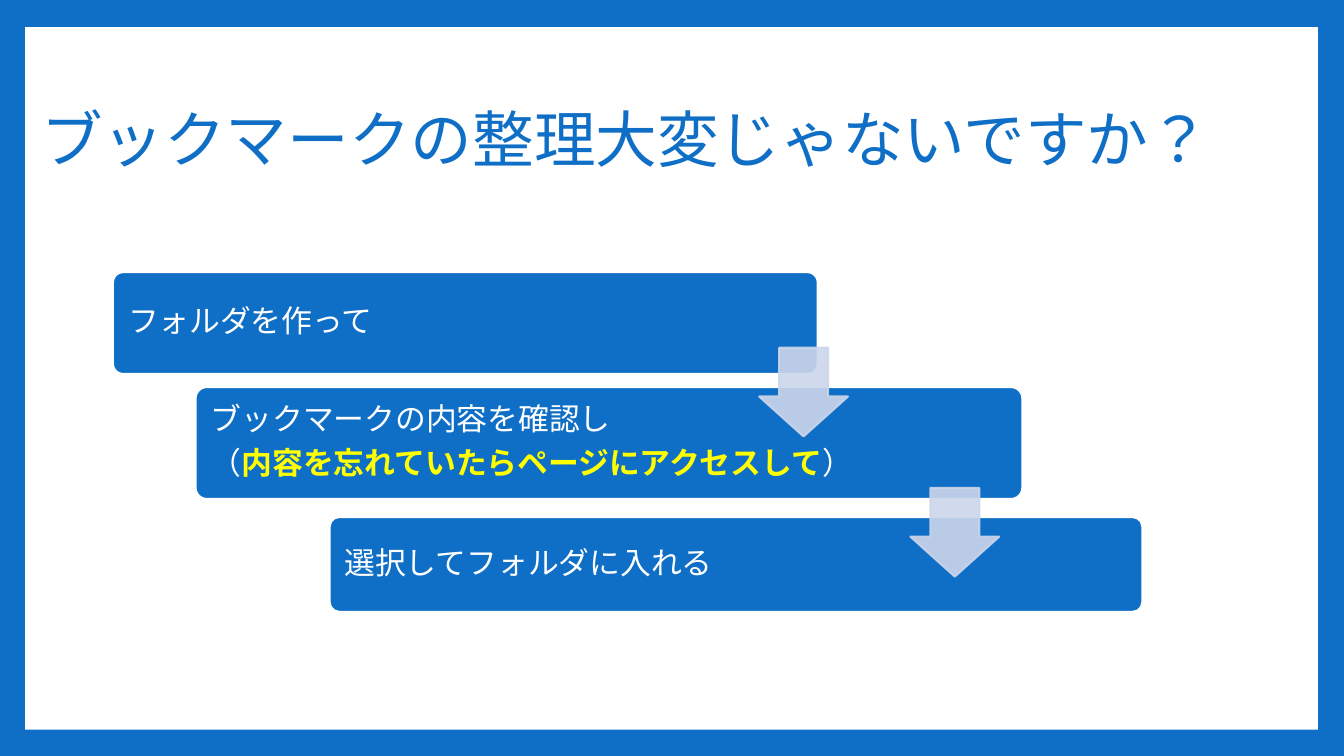
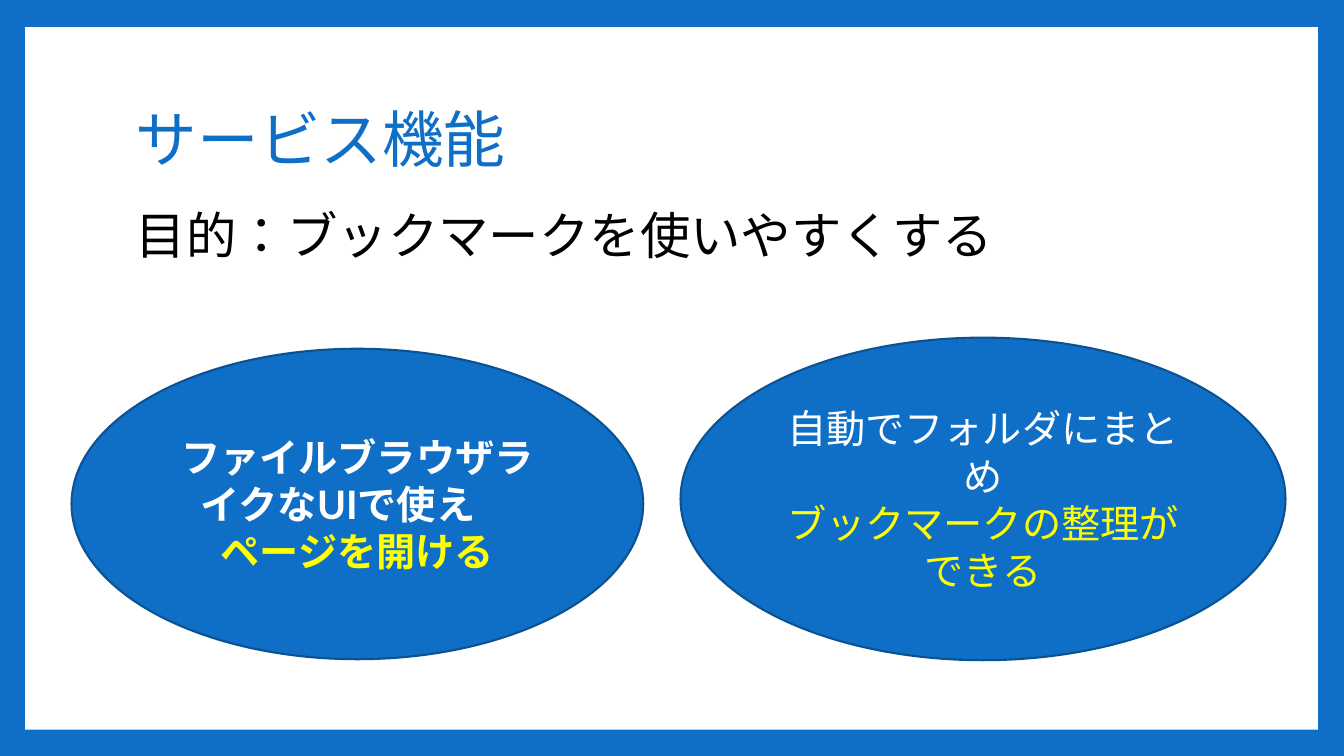
from lxml.etree import SubElement
from pptx import Presentation
from pptx.dml.color import RGBColor
from pptx.enum.lang import MSO_LANGUAGE_ID
from pptx.enum.shapes import MSO_SHAPE
from pptx.enum.text import MSO_ANCHOR, PP_ALIGN
from pptx.oxml.ns import qn
from pptx.util import Inches, Pt

COLORS = {
    "blue": "0F6FC6",
    "outline": "0B5292",
    "arrow": "CCD5EA",
    "accent": "FFFF00",
    "white": "FFFFFF",
    "black": "000000",
}
FONT = "Lato"
PANEL_BOX = (0.25, 0.27, 12.82, 6.97)
TITLE_TOP, TITLE_HEIGHT = 0.67, 1.48

# Each text is a list of paragraphs; each paragraph is a list of (words, format) runs.
STEPS_TITLE = "ブックマークの整理大変じゃないですか？"
STEPS = [
    ((1.12, 2.7, 6.99, 1.01), [[("フォルダを作って", {})]]),
    ((1.94, 3.84, 8.2, 1.11), [
        [("ブックマークの内容を確認し", {})],
        [("（", {}),
         ("内容を忘れていたらページにアクセスして", {"color": "accent", "bold": True}),
         ("）", {})],
    ]),
    ((3.27, 5.13, 8.06, 0.94), [[("選択してフォルダに入れる", {})]]),
]
ARROW_SIZE = 0.88
ARROWS = [(7.53, 3.45), (9.03, 4.84)]

FEATURES_TITLE = "サービス機能"
PURPOSE = "目的：ブックマークを使いやすくする"
FEATURES = [
    ((0.71, 3.46, 5.67, 3.08), True, [
        [("ファイルブラウザライクなUIで使え　", {}),
         ("ページを開ける", {"color": "accent"})],
    ]),
    ((6.75, 3.35, 6, 3.2), False, [
        [("自動でフォルダにまとめ", {})],
        [("ブックマークの整理ができる", {"color": "accent"})],
    ]),
]


def rgb(name):
    """Return the named colour."""
    return RGBColor.from_string(COLORS[name])


def write_text(shape, paragraphs, size, color="white", bold=False, align=PP_ALIGN.LEFT,
               anchor=MSO_ANCHOR.MIDDLE, wrap=True, line_spacing=None, space_after=None):
    """Fill a shape with paragraphs of formatted runs."""
    frame = shape.text_frame
    frame.word_wrap = wrap
    frame.vertical_anchor = anchor
    for index, runs in enumerate(paragraphs):
        paragraph = frame.add_paragraph() if index else frame.paragraphs[0]
        paragraph.alignment = align
        paragraph.line_spacing = line_spacing
        paragraph.space_after = space_after
        for words, changes in runs:
            run = paragraph.add_run()
            run.text = words
            font = run.font
            font.name = FONT
            font.size = Pt(size)
            font.language_id = MSO_LANGUAGE_ID.JAPANESE
            font.bold = changes.get("bold", bold)
            font.color.rgb = rgb(changes.get("color", color))


def add_box(slide, kind, box, fill, line=None):
    """Add a flat filled shape, outlined when a line colour is given."""
    shape = slide.shapes.add_shape(kind, *map(Inches, box))
    shape.shadow.inherit = False
    shape.fill.solid()
    shape.fill.fore_color.rgb = rgb(fill)
    if line:
        shape.line.color.rgb = rgb(line)
        shape.line.width = Pt(1.5)
    else:
        shape.line.fill.background()
    return shape


def add_text_box(slide, box, words, **text_format):
    """Add a text box with one line of text."""
    text_box = slide.shapes.add_textbox(*map(Inches, box))
    write_text(text_box, [[(words, {})]], **text_format)


def add_framed_slide(presentation, title, left, width):
    """Add a slide with the white panel and a title."""
    slide = presentation.slides.add_slide(presentation.slide_layouts[6])
    add_box(slide, MSO_SHAPE.RECTANGLE, PANEL_BOX, "white")
    add_text_box(slide, (left, TITLE_TOP, width, TITLE_HEIGHT), title,
                 size=44, color="blue", line_spacing=0.9)
    return slide


def add_step(slide, box, paragraphs):
    """Add one rounded card of the staircase."""
    card = add_box(slide, MSO_SHAPE.ROUNDED_RECTANGLE, box, "blue", "white")
    card.adjustments[0] = 0.1
    card.text_frame.margin_left = Inches(0.12)
    write_text(card, paragraphs, size=22, line_spacing=0.9, space_after=Pt(7.7))


def add_step_arrow(slide, left, top):
    """Add a slightly transparent arrow leading to the next step."""
    arrow = add_box(slide, MSO_SHAPE.DOWN_ARROW, (left, top, ARROW_SIZE, ARROW_SIZE),
                    "arrow", "arrow")
    arrow.adjustments[0] = 0.55
    arrow.adjustments[1] = 0.45
    properties = arrow.element.find(qn("p:spPr"))
    for color in properties.iter(qn("a:srgbClr")):
        SubElement(color, qn("a:alpha"), val="90000")


def build_steps_slide(presentation):
    """Build the staircase of bookmark chores."""
    slide = add_framed_slide(presentation, STEPS_TITLE, 0.31, 12.68)
    for box, paragraphs in STEPS:
        add_step(slide, box, paragraphs)
    for left, top in ARROWS:
        add_step_arrow(slide, left, top)


def build_features_slide(presentation):
    """Build the purpose line and the two feature ellipses."""
    slide = add_framed_slide(presentation, FEATURES_TITLE, 1.25, 10.8)
    add_text_box(slide, (1.25, 1.98, 8.78, 0.71), PURPOSE, size=36, color="black",
                 anchor=MSO_ANCHOR.TOP, wrap=False)
    for box, bold, paragraphs in FEATURES:
        ellipse = add_box(slide, MSO_SHAPE.OVAL, box, "blue", "outline")
        write_text(ellipse, paragraphs, size=28, bold=bold, align=PP_ALIGN.CENTER)


def main():
    """Build and save the presentation."""
    presentation = Presentation()
    presentation.slide_width = Inches(13.33)
    presentation.slide_height = Inches(7.5)
    background = presentation.slide_master.background.fill
    background.solid()
    background.fore_color.rgb = rgb("blue")
    build_steps_slide(presentation)
    build_features_slide(presentation)
    presentation.save("out.pptx")


main()
